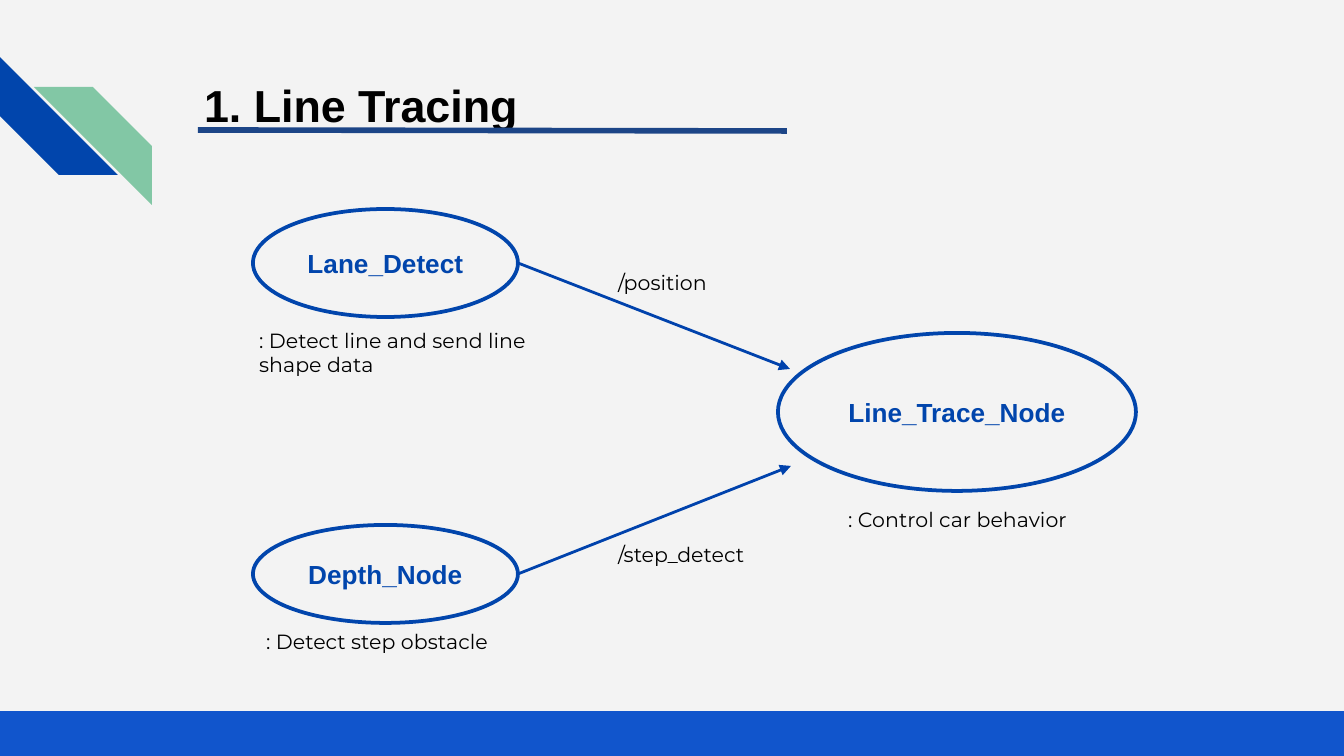
from lxml import etree
from pptx import Presentation
from pptx.dml.color import RGBColor
from pptx.enum.shapes import MSO_CONNECTOR, MSO_SHAPE
from pptx.enum.text import MSO_ANCHOR, MSO_AUTO_SIZE, PP_ALIGN
from pptx.oxml.ns import qn
from pptx.util import Pt

RECTANGLE, ELLIPSE, STRIPE = MSO_SHAPE.RECTANGLE, MSO_SHAPE.OVAL, MSO_SHAPE.DIAGONAL_STRIPE
STRAIGHT = MSO_CONNECTOR.STRAIGHT
TOP, MIDDLE = MSO_ANCHOR.TOP, MSO_ANCHOR.MIDDLE
LEFT, CENTER = PP_ALIGN.LEFT, PP_ALIGN.CENTER
NO_AUTOFIT = MSO_AUTO_SIZE.NONE
TITLE_ONLY = 5

WIDTH, HEIGHT = 1344, 756
SCALE = 9144000 / WIDTH
BLUE, ARROW_BLUE, BLACK = "0145AC", "0042AC", "000000"
STRIPE_SIZE = 118

TITLE = ("1. Line Tracing", (191, 58, 1035, 134))
FOOTER = (0, 714, 1344, 42)
UNDERLINE = (198, 130, 787, 131)
NODES = [
    ("Line_Trace_Node", (778, 333, 358, 158)),
    ("Depth_Node", (253, 525, 265, 98)),
    ("Lane_Detect", (253, 209, 265, 108)),
]
ARROWS = [(518, 263, 790, 369), (518, 574, 791, 466)]
LABELS = [
    (": Detect line and send line shape data", (246, 321, 327, 63)),
    (": Control car behavior", (835, 500, 247, 63)),
    (": Detect step obstacle", (253, 622, 327, 38)),
    ("/position", (605, 263, 122, 38)),
    ("/step_detect", (605, 535, 172, 38)),
]


def px(value):
    return round(value * SCALE)


def box(values):
    return [px(value) for value in values]


def color(value):
    return RGBColor.from_string(value)


def set_text(shape, text, font, size, fill, bold=False, align=LEFT, anchor=TOP):
    frame = shape.text_frame
    frame.text = text
    frame.word_wrap = True
    frame.auto_size = NO_AUTOFIT
    frame.vertical_anchor = anchor
    paragraph = frame.paragraphs[0]
    paragraph.alignment = align
    paragraph.font.name = font
    paragraph.font.size = Pt(size)
    paragraph.font.bold = bold
    paragraph.font.color.rgb = color(fill)
    return frame


def add_shape(kind, place, fill, line=None, line_width=0):
    shape = slide.shapes.add_shape(kind, *box(place))
    shape.shadow.inherit = False
    shape.fill.solid()
    shape.fill.fore_color.rgb = color(fill)
    if line:
        shape.line.color.rgb = color(line)
        shape.line.width = Pt(line_width)
    else:
        shape.line.fill.background()
    return shape


def add_line(ends, line, line_width, arrow=False):
    connector = slide.shapes.add_connector(STRAIGHT, *box(ends))
    connector.line.color.rgb = color(line)
    connector.line.width = Pt(line_width)
    if arrow:
        etree.SubElement(connector.line._get_or_add_ln(), qn("a:tailEnd"), type="triangle")
    etree.SubElement(connector._element.spPr, qn("a:effectLst"))


presentation = Presentation()
presentation.slide_width, presentation.slide_height = px(WIDTH), px(HEIGHT)
slide = presentation.slides.add_slide(presentation.slide_layouts[TITLE_ONLY])
slide.background.fill.solid()
slide.background.fill.fore_color.rgb = color("F3F3F3")

add_shape(RECTANGLE, FOOTER, "1155CC", "1155CC", 3)
blue_stripe = add_shape(STRIPE, (0, 57, STRIPE_SIZE, STRIPE_SIZE), BLUE)
blue_stripe.rotation = 270
green_stripe = add_shape(STRIPE, (34, 87, STRIPE_SIZE, STRIPE_SIZE), "82C7A5")
green_stripe._element.spPr.xfrm.set("flipH", "1")
add_line(UNDERLINE, "1C4587", 3)

title = slide.shapes.title
title_text, title_place = TITLE
title.left, title.top, title.width, title.height = box(title_place)
frame = set_text(title, title_text, "Arial", 24, BLACK, bold=True)
frame.margin_left = frame.margin_right = frame.margin_top = frame.margin_bottom = px(13)
frame.paragraphs[0].line_spacing = 1.12

for name, place in NODES:
    node = add_shape(ELLIPSE, place, "FFFFFF", BLUE, 2)
    fill_color = node._element.spPr.find(qn("a:solidFill"))[0]
    etree.SubElement(fill_color, qn("a:alpha"), val="3000")
    set_text(node, name, "Arial", 14, BLUE, bold=True, align=CENTER, anchor=MIDDLE)

for ends in ARROWS:
    add_line(ends, ARROW_BLUE, 1.5, arrow=True)

for text, place in LABELS:
    set_text(slide.shapes.add_textbox(*box(place)), text, "Montserrat", 11, BLACK)

presentation.save("out.pptx")
